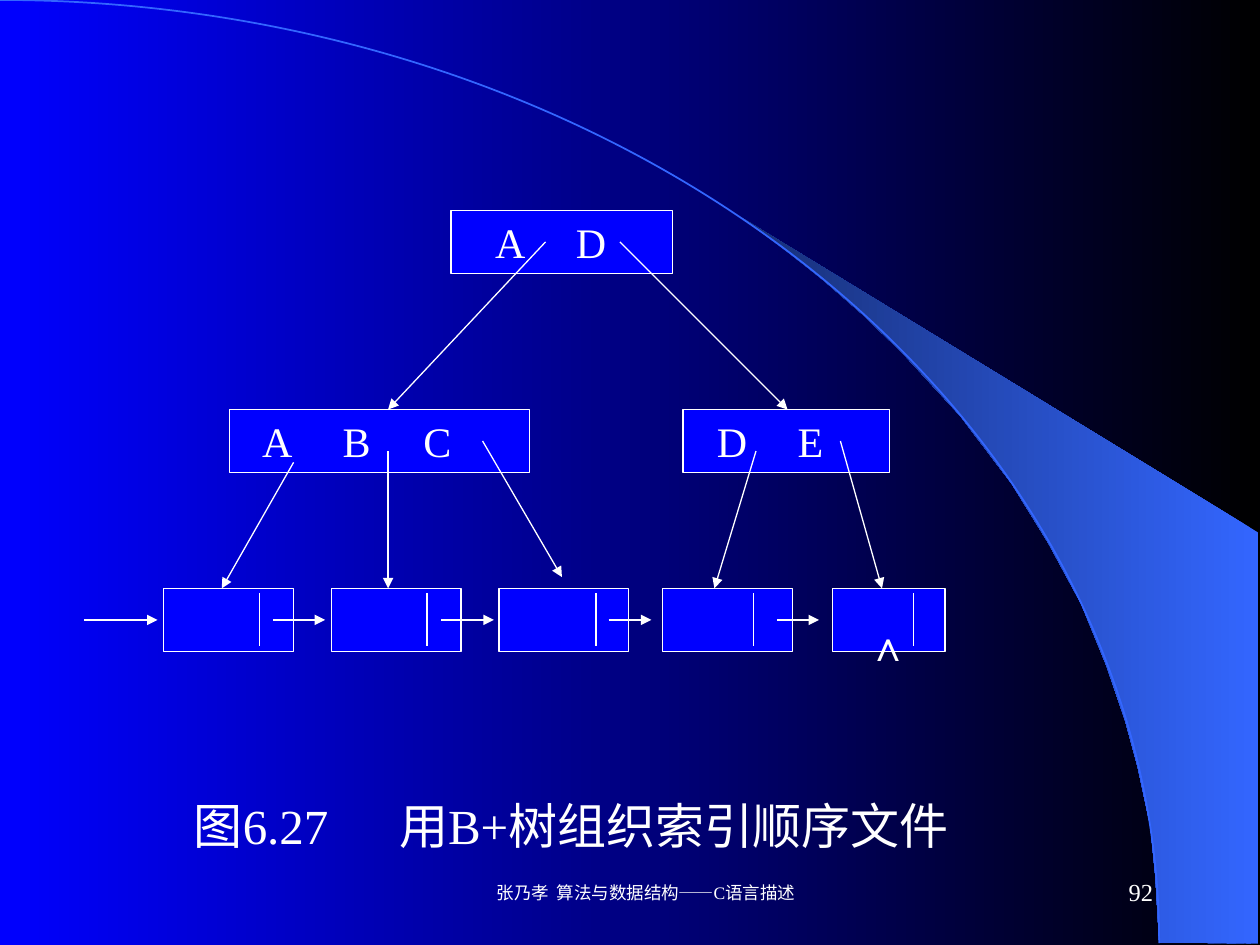
from lxml import etree
from pptx import Presentation
from pptx.dml.color import RGBColor
from pptx.enum import shapes, text
from pptx.oxml import ns
from pptx.util import Inches, Pt

WHITE, BLUE, SKY = "FFFFFF", "0000FF", "3366FF"
FONT = "Times New Roman"
BOX_HEIGHT = 0.5
KEY_PITCH = 0.64
LEAF_TOP = 4.67
LINK_Y = 4.92

# left, top, width, offset of the first key, keys
NODES = [
    (3.58, 1.67, 1.76, 0.35, "AD"),
    (5.42, 3.25, 1.64, 0.27, "DE"),
    (1.82, 3.25, 2.38, 0.26, "ABC"),
]
# left, width, x of the divider
LEAVES = [
    (1.3, 1.03, 2.06),
    (2.63, 1.03, 3.39),
    (3.96, 1.03, 4.73),
    (5.26, 1.03, 5.98),
    (6.61, 0.89, 7.25),
]
LEAF_LINKS = [(0.67, 1.25), (2.17, 2.58), (3.5, 3.92), (4.83, 5.17), (6.17, 6.5)]
CHILD_LINKS = [
    (4.33, 1.92, 3.08, 3.25),
    (4.92, 1.92, 6.25, 3.25),
    (2.33, 3.67, 1.76, 4.67),
    (3.08, 3.58, 3.08, 4.67),
    (3.83, 3.5, 4.46, 4.58),
    (6, 3.58, 5.67, 4.67),
    (6.67, 3.5, 7, 4.67),
]
WING = [
    (9.2, 7.48), (9.99, 7.49), (9.99, 4.23), (5.89, 1.73), (6.24, 1.99),
    (6.53, 2.22), (6.85, 2.5), (7.16, 2.8), (7.62, 3.3), (8.03, 3.84),
    (8.32, 4.31), (8.58, 4.79), (8.78, 5.28), (8.93, 5.72), (9.03, 6.09),
    (9.13, 6.56), (9.17, 6.96),
]


def color(value):
    return RGBColor.from_string(value)


def set_gradient(fill, start, end):
    """Blend from start at the right edge to end at the left edge."""
    fill.gradient()
    fill.gradient_angle = 180
    for stop, value, position in zip(fill.gradient_stops, (start, end), (0, 1)):
        stop.color.rgb = color(value)
        stop.position = position


def set_line(shape, value, width):
    shape.line.color.rgb = color(value)
    shape.line.width = Pt(width)


def add_backdrop(page):
    set_gradient(page.background.fill, "000000", BLUE)

    points = [(Inches(x), Inches(y)) for x, y in WING]
    builder = page.shapes.build_freeform(*points[0])
    builder.add_line_segments(points[1:])
    wing = builder.convert_to_shape()
    wing.shadow.inherit = False
    set_gradient(wing.fill, SKY, "172F75")
    wing.line.fill.background()

    arc = page.shapes.add_shape(
        shapes.MSO_SHAPE.ARC, Inches(-9.2), 0, Inches(18.4), Inches(14.97))
    arc.shadow.inherit = False
    arc.fill.background()
    set_line(arc, SKY, 1)


def add_box(page, left, top, width):
    box = page.shapes.add_shape(
        shapes.MSO_SHAPE.RECTANGLE,
        Inches(left), Inches(top), Inches(width), Inches(BOX_HEIGHT))
    box.shadow.inherit = False
    box.fill.solid()
    box.fill.fore_color.rgb = color(BLUE)
    set_line(box, WHITE, 0.75)
    return box


def write(shape, words, size, align, font=FONT, tabs=(),
          anchor=text.MSO_ANCHOR.MIDDLE):
    """Write one white paragraph, with left tab stops given in inches."""
    frame = shape.text_frame
    frame.word_wrap = True
    frame.vertical_anchor = anchor
    para = frame.paragraphs[0]
    para.text = words
    para.alignment = align
    para.font.name = font
    para.font.size = Pt(size)
    para.font.color.rgb = color(WHITE)
    if tabs:
        stops = etree.Element(ns.qn("a:tabLst"))
        for stop in tabs:
            etree.SubElement(stops, ns.qn("a:tab"), pos=str(Inches(stop)), algn="l")
        para.font._element.addprevious(stops)


def add_node(page, left, top, width, start, keys):
    box = add_box(page, left, top, width)
    box.text_frame.margin_left = Inches(start)
    box.text_frame.margin_right = 0
    tabs = [KEY_PITCH * step for step in range(1, len(keys))]
    write(box, "\t".join(keys), 24, text.PP_ALIGN.LEFT, tabs=tabs)


def add_text(page, left, top, width, height, words, size, align,
             inset=0.1, tabs=()):
    box = page.shapes.add_textbox(
        Inches(left), Inches(top), Inches(width), Inches(height))
    box.text_frame.margin_left = Inches(inset)
    write(box, words, size, align, tabs=tabs)


def add_line(page, x1, y1, x2, y2, arrow=True):
    line = page.shapes.add_connector(
        shapes.MSO_CONNECTOR.STRAIGHT,
        Inches(x1), Inches(y1), Inches(x2), Inches(y2))
    set_line(line, WHITE, 0.75)
    if arrow:
        etree.SubElement(line.line._get_or_add_ln(), ns.qn("a:tailEnd"),
                         type="triangle")
    etree.SubElement(line._element.spPr, ns.qn("a:effectLst"))


def add_leaves(page):
    for left, width, divider in LEAVES:
        leaf = add_box(page, left, LEAF_TOP, width)
        add_line(page, divider, 4.71, divider, 5.13, arrow=False)
    # The end mark of the chain hangs from the middle of the last leaf.
    leaf.text_frame.margin_top = Inches(0.25)
    write(leaf, "∧", 24, text.PP_ALIGN.CENTER, font="Arial",
          anchor=text.MSO_ANCHOR.TOP)


def main():
    deck = Presentation()
    deck.slide_width, deck.slide_height = Inches(10), Inches(7.5)
    page = deck.slides.add_slide(deck.slide_layouts[6])

    add_backdrop(page)
    for node in NODES:
        add_node(page, *node)
    add_leaves(page)
    for start, end in LEAF_LINKS:
        add_line(page, start, LINK_Y, end, LINK_Y)
    for link in CHILD_LINKS:
        add_line(page, *link)

    add_text(page, 1.44, 6.26, 6.39, 0.57, "图6.27\t用B+树组织索引顺序文件",
             28, text.PP_ALIGN.LEFT, tabs=[1.63])
    add_text(page, 3.42, 6.83, 3.17, 0.5, "张乃孝  算法与数据结构——C语言描述",
             10, text.PP_ALIGN.CENTER, inset=0.34)
    add_text(page, 7.17, 6.83, 2.08, 0.5, "92", 14, text.PP_ALIGN.RIGHT)
    deck.save("out.pptx")


if __name__ == "__main__":
    main()
